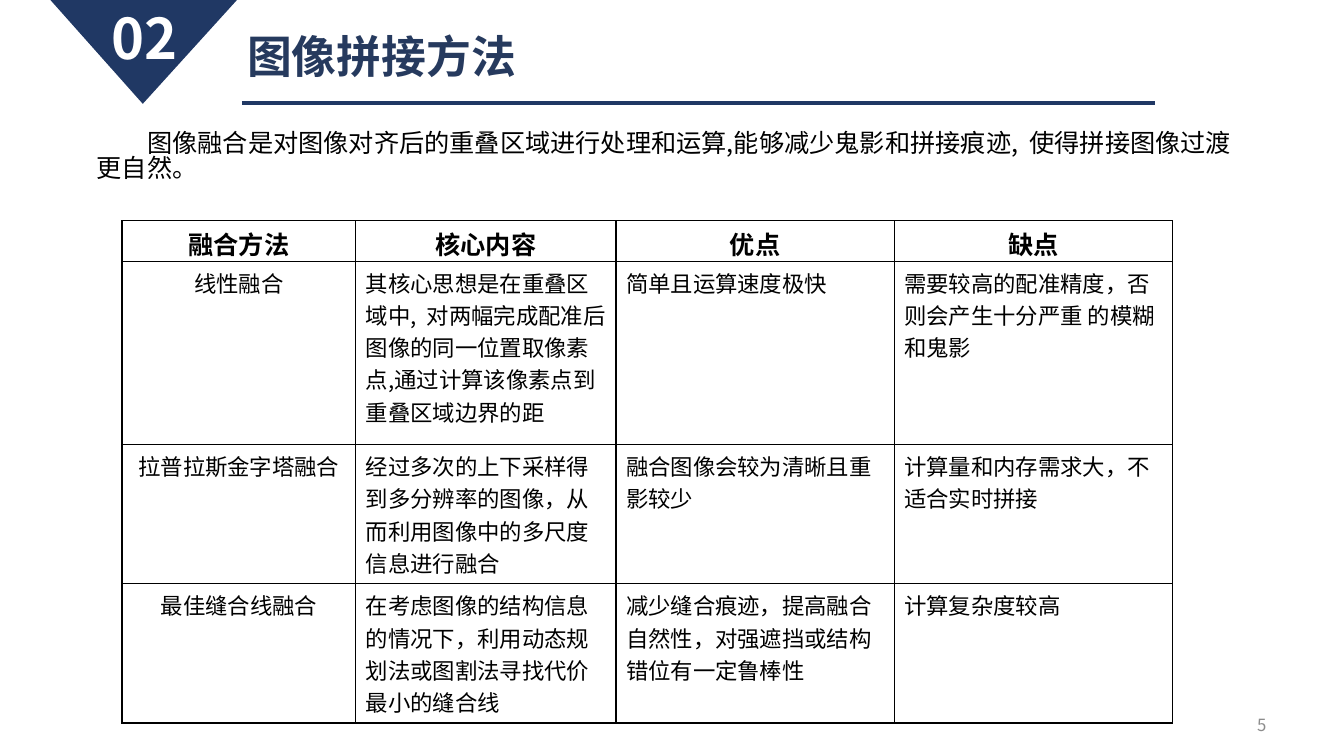
from lxml.etree import SubElement
from pptx import Presentation
from pptx.dml.color import RGBColor
from pptx.enum.shapes import MSO_CONNECTOR, MSO_SHAPE
from pptx.enum.text import MSO_ANCHOR, MSO_AUTO_SIZE, PP_ALIGN
from pptx.oxml.ns import qn
from pptx.util import Inches, Pt

FONT = "Noto Sans CJK SC"
COLORS = {"navy": "203864", "title": "263A5E", "white": "FFFFFF",
          "black": "000000", "gray": "8C8C8C"}

INTRO = ("图像融合是对图像对齐后的重叠区域进行处理和运算,能够减少鬼影和拼接痕迹,  "
         "使得拼接图像过渡更自然。")
COLUMN_WIDTHS = [2.32, 2.58, 2.76, 2.76]
ROW_HEIGHTS = [0.4, 1.82, 1.38, 1.38]
METHODS = [
    ["融合方法", "核心内容", "优点", "缺点"],
    ["线性融合",
     "其核心思想是在重叠区域中,  对两幅完成配准后图像的同一位置取像素点,通过计算该像素点到重叠区域边界的距",
     "简单且运算速度极快",
     "需要较高的配准精度，否则会产生十分严重 的模糊和鬼影"],
    ["拉普拉斯金字塔融合",
     "经过多次的上下采样得到多分辨率的图像，从而利用图像中的多尺度信息进行融合",
     "融合图像会较为清晰且重影较少",
     "计算量和内存需求大，不适合实时拼接"],
    ["最佳缝合线融合",
     "在考虑图像的结构信息的情况下，利用动态规划法或图割法寻找代价最小的缝合线",
     "减少缝合痕迹，提高融合自然性，对强遮挡或结构错位有一定鲁棒性",
     "计算复杂度较高"],
]


def rgb(name):
    """Return the palette colour of that name."""
    return RGBColor.from_string(COLORS[name])


class SlideBuilder:
    """Hold the style and the current slide."""

    def __init__(self, deck):
        """Add a title-and-content slide to the deck."""
        self.page = deck.slides.add_slide(deck.slide_layouts[1])

    def add_span(self, para, text, size, color, bold=False,
                 align=PP_ALIGN.LEFT):
        """Add one styled run to a paragraph."""
        para.alignment = align
        span = para.add_run()
        span.text = text
        span.font.size = Pt(size)
        span.font.bold = bold
        span.font.color.rgb = rgb(color)
        span.font.name = FONT
        SubElement(span.font._element, qn("a:ea"), typeface=FONT)

    def place(self, box, area, anchor=MSO_ANCHOR.TOP, top=0.05):
        """Position a box and return its first paragraph."""
        box.left, box.top, box.width, box.height = map(Inches, area)
        frame = box.text_frame
        frame.word_wrap = True
        frame.auto_size = MSO_AUTO_SIZE.NONE
        frame.vertical_anchor = anchor
        frame.margin_top = Inches(top)
        return frame.paragraphs[0]

    def title(self, text, area):
        """Fill the title placeholder."""
        para = self.place(self.page.shapes.title, area, top=0.02)
        para.line_spacing = 0.9
        self.add_span(para, text, 32, "title", True)

    def body(self, text, area):
        """Fill the body placeholder with an indented paragraph."""
        para = self.place(self.page.placeholders[1], area)
        para.line_spacing = 0.84
        para.space_before = Pt(0)
        properties = para._p.get_or_add_pPr()
        properties.set("marL", "0")
        properties.set("indent", str(Inches(0.5)))
        SubElement(properties, qn("a:buNone"))
        self.add_span(para, text, 18, "black")

    def label(self, text, area, size, color, bold=False, align=PP_ALIGN.LEFT,
              anchor=MSO_ANCHOR.TOP, top=0.05, spacing=1.0):
        """Add a text box."""
        box = self.page.shapes.add_textbox(*map(Inches, area))
        para = self.place(box, area, anchor, top)
        para.line_spacing = spacing
        self.add_span(para, text, size, color, bold, align)

    def marker(self, area):
        """Add the triangle that points down."""
        shape = self.page.shapes.add_shape(MSO_SHAPE.ISOSCELES_TRIANGLE,
                                           *map(Inches, area))
        shape.adjustments[0] = 0.505
        shape.rotation = 180
        shape.shadow.inherit = False
        shape.fill.solid()
        shape.fill.fore_color.rgb = rgb("navy")
        shape.line.fill.background()

    def rule(self, left, right, top):
        """Add a horizontal line."""
        line = self.page.shapes.add_connector(
            MSO_CONNECTOR.STRAIGHT, Inches(left), Inches(top),
            Inches(right), Inches(top))
        line.line.color.rgb = rgb("navy")
        line.line.width = Pt(3.25)
        SubElement(line._element.spPr, qn("a:effectLst"))

    def border(self, cell):
        """Draw all four edges of a cell and clear its fill."""
        properties = cell._tc.get_or_add_tcPr()
        for edge in ("lnL", "lnR", "lnT", "lnB"):
            line = SubElement(properties, qn(f"a:{edge}"), w=str(Pt(1)))
            fill = SubElement(line, qn("a:solidFill"))
            SubElement(fill, qn("a:srgbClr"), val=COLORS["black"])
        cell.fill.background()

    def table(self, rows, left, top):
        """Add the comparison table."""
        table = self.page.shapes.add_table(
            len(rows), len(COLUMN_WIDTHS), Inches(left), Inches(top),
            Inches(sum(COLUMN_WIDTHS)), Inches(sum(ROW_HEIGHTS))).table
        for column, width in zip(table.columns, COLUMN_WIDTHS):
            column.width = Inches(width)
        for r, (texts, height) in enumerate(zip(rows, ROW_HEIGHTS)):
            table.rows[r].height = Inches(height)
            header = r == 0
            for c, text in enumerate(texts):
                cell = table.cell(r, c)
                self.border(cell)
                if header:
                    cell.margin_top, cell.margin_bottom = Inches(0.04), 0
                centered = header or c == 0
                self.add_span(cell.text_frame.paragraphs[0], text,
                              18 if header else 16, "black", header,
                              PP_ALIGN.CENTER if centered else PP_ALIGN.LEFT)


def main():
    """Build and save the slide."""
    deck = Presentation()
    deck.slide_width, deck.slide_height = Inches(13.33), Inches(7.5)
    slide = SlideBuilder(deck)
    slide.title("图像拼接方法", (2.35, 0.32, 6.19, 0.71))
    slide.marker((0.5, 0, 1.85, 1.03))
    slide.label("02", (1.01, 0.11, 0.91, 0.62), 40, "white", True,
                top=0, spacing=0.9)
    slide.rule(2.4, 11.46, 1.02)
    slide.label("5", (9.66, 6.99, 3, 0.4), 12, "gray",
                align=PP_ALIGN.RIGHT, anchor=MSO_ANCHOR.MIDDLE)
    slide.table(METHODS, 1.21, 2.19)
    slide.body(INTRO, (0.86, 1.26, 11.5, 0.71))
    deck.save("out.pptx")


if __name__ == "__main__":
    main()
